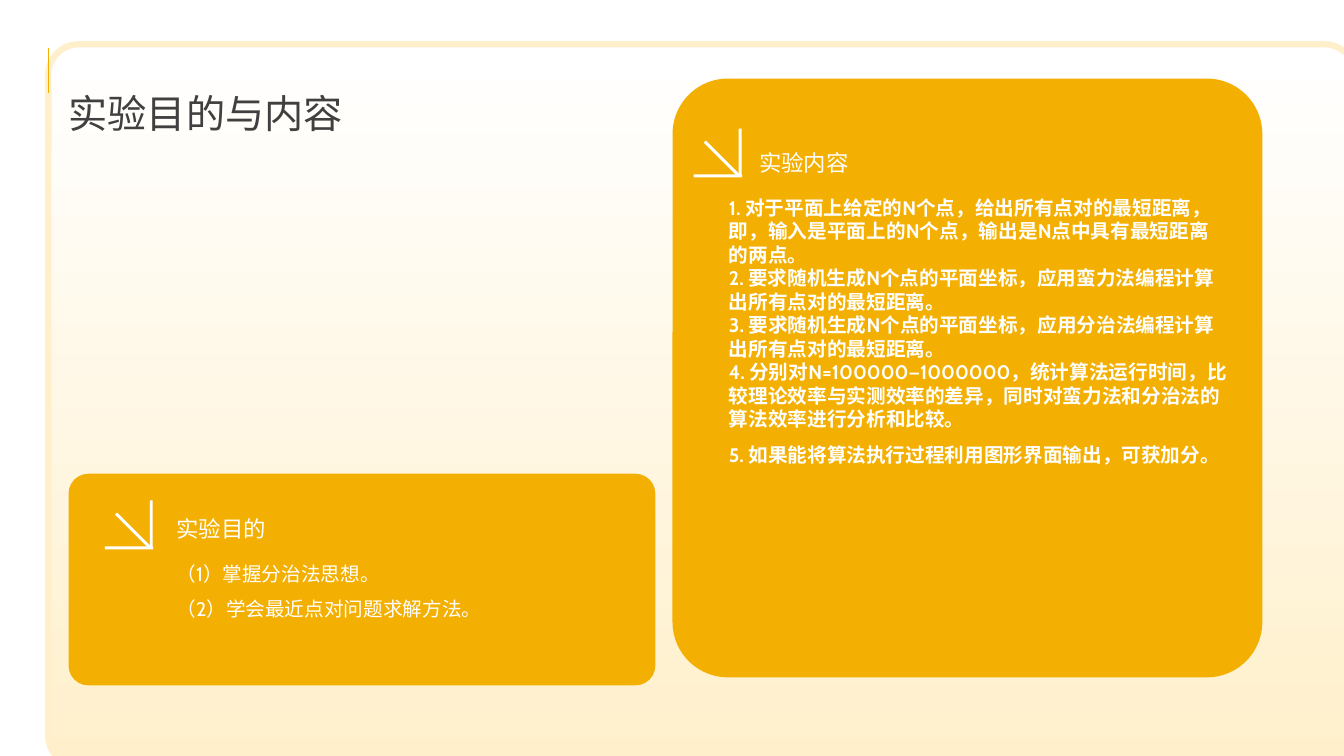
from dataclasses import dataclass

from lxml import etree
from pptx import Presentation
from pptx.dml.color import RGBColor
from pptx.enum import shapes, text
from pptx.oxml import ns
from pptx.util import Inches, Pt

AMBER = RGBColor(0xF4, 0xB0, 0x02)
CREAM = RGBColor(0xFF, 0xF0, 0xCB)
WHITE = RGBColor(0xFF, 0xFF, 0xFF)
GREY = RGBColor(0x40, 0x40, 0x40)

Box = tuple[float, float, float, float]
BAR_LENGTH, BAR_WIDTH = 0.48, 0.03
# Offsets from the arrow's base bar, then rotation
ARROW_BARS = ((0.04, -0.17, 45), (0.22, -0.23, 90), (0, 0, 0))


@dataclass
class Line:
    text: str
    spacing: float = 1.5


@dataclass
class Style:
    size: int
    color: RGBColor = WHITE
    font: str = "Cabin"
    bold: bool = False
    anchor: text.MSO_ANCHOR = text.MSO_ANCHOR.TOP


@dataclass
class Card:
    box: Box
    arrow: tuple[float, float]
    heading: str
    heading_at: Box
    heading_idx: int
    lines: list[Line]
    lines_at: Box
    lines_idx: int
    bold: bool = False


CARDS = [
    Card((0.68, 4.7, 5.82, 2.1), (1.04, 5.42),
         "实验目的", (1.75, 4.89, 4.53, 0.49), 1,
         [Line("（1）掌握分治法思想。"), Line("（2）学会最近点对问题求解方法。")],
         (1.75, 5.46, 4.53, 1.24), 2),
    Card((6.67, 0.78, 5.85, 5.94), (6.88, 1.73),
         "实验内容", (7.53, 1.26, 4.53, 0.49), 3,
         [Line("1. 对于平面上给定的N个点，给出所有点对的最短距离，即，输入是平面上的N个点，"
               "输出是N点中具有最短距离的两点。", 1.0),
          Line("2. 要求随机生成N个点的平面坐标，应用蛮力法编程计算出所有点对的最短距离。", 1.0),
          Line("3. 要求随机生成N个点的平面坐标，应用分治法编程计算出所有点对的最短距离。", 1.0),
          Line("4. 分别对N=100000—1000000，统计算法运行时间，比较理论效率与实测效率的差异，"
               "同时对蛮力法和分治法的算法效率进行分析和比较。", 1.0),
          Line("5. 如果能将算法执行过程利用图形界面输出，可获加分。")],
         (7.23, 1.94, 4.95, 4.51), 4, bold=True),
]


def add_block(parent, kind, box: Box, color: RGBColor):
    sp = parent.add_shape(kind, *map(Inches, box))
    sp.shadow.inherit = False
    sp.fill.solid()
    sp.fill.fore_color.rgb = color
    sp.line.fill.background()
    return sp


def add_arrow(s, left: float, top: float) -> None:
    group = s.shapes.add_group_shape()
    for dx, dy, angle in ARROW_BARS:
        box = (left + dx, top + dy, BAR_LENGTH, BAR_WIDTH)
        bar = add_block(group.shapes, shapes.MSO_SHAPE.RECTANGLE, box, WHITE)
        bar.rotation = angle


def fill_placeholder(s, idx: int, box: Box, lines: list[Line], style: Style) -> None:
    sp = s.placeholders[idx]
    sp.left, sp.top, sp.width, sp.height = map(Inches, box)
    s.shapes.element.append(sp.element)  # bring above the cards
    tf = sp.text_frame
    frame_format = {
        "margin_left": 0, "margin_top": 0, "margin_right": 0, "margin_bottom": 0,
        "word_wrap": True, "auto_size": text.MSO_AUTO_SIZE.NONE,
        "vertical_anchor": style.anchor,
    }
    for name, value in frame_format.items():
        setattr(tf, name, value)
    for i, line in enumerate(lines):
        p = tf.add_paragraph() if i else tf.paragraphs[0]
        pPr = p._p.get_or_add_pPr()
        pPr.set("marL", "0")
        pPr.set("indent", "0")
        etree.SubElement(pPr, ns.qn("a:buNone"))
        paragraph_format = {
            "alignment": text.PP_ALIGN.LEFT, "line_spacing": line.spacing,
            "space_before": Pt(0), "space_after": Pt(0),
        }
        for name, value in paragraph_format.items():
            setattr(p, name, value)
        r = p.add_run()
        r.text = line.text
        font_format = {"size": Pt(style.size), "bold": style.bold, "name": style.font}
        for name, value in font_format.items():
            setattr(r.font, name, value)
        r.font.color.rgb = style.color
        ea = etree.SubElement(r._r.get_or_add_rPr(), ns.qn("a:ea"))
        ea.set("typeface", style.font)


def add_frame(s) -> None:
    box = (0.48, 0.44, 12.96, 7.16)
    frame = add_block(s.shapes, shapes.MSO_SHAPE.ROUNDED_RECTANGLE, box, CREAM)
    frame.adjustments[0] = 0.042
    frame.fill.gradient()
    frame.fill.gradient_angle = 90
    for stop, position, color in zip(frame.fill.gradient_stops, (0, 0.99), (CREAM, WHITE)):
        stop.position = position
        stop.color.rgb = color
    frame.line.color.rgb = CREAM
    frame.line.width = Pt(4.5)


def add_card(s, card: Card) -> None:
    panel = add_block(s.shapes, shapes.MSO_SHAPE.ROUNDED_RECTANGLE, card.box, AMBER)
    panel.adjustments[0] = 0.094
    add_arrow(s, *card.arrow)
    fill_placeholder(s, card.lines_idx, card.lines_at, card.lines,
                     Style(14, bold=card.bold))
    fill_placeholder(s, card.heading_idx, card.heading_at, [Line(card.heading)],
                     Style(16, anchor=text.MSO_ANCHOR.BOTTOM))


def add_accent(s) -> None:
    x, bottom, top = Inches(0.48), Inches(0.92), Inches(0.48)
    accent = s.shapes.add_connector(shapes.MSO_CONNECTOR.STRAIGHT, x, bottom, x, top)
    accent.line.color.rgb = AMBER
    accent.line.width = Pt(1)
    etree.SubElement(accent.element.spPr, ns.qn("a:effectLst"))


def main() -> None:
    prs = Presentation()
    prs.slide_width, prs.slide_height = Inches(13.33), Inches(7.5)
    s = prs.slides.add_slide(prs.slide_layouts.get_by_name("Comparison"))

    # Background frame and the two cards
    add_frame(s)
    for card in CARDS:
        add_card(s, card)

    # Title with its accent line
    fill_placeholder(s, 0, (0.68, 0.84, 4.53, 0.47), [Line("实验目的与内容", 1.2)],
                     Style(28, GREY, "Noto Sans CJK SC", anchor=text.MSO_ANCHOR.MIDDLE))
    add_accent(s)
    prs.save("out.pptx")


if __name__ == "__main__":
    main()
